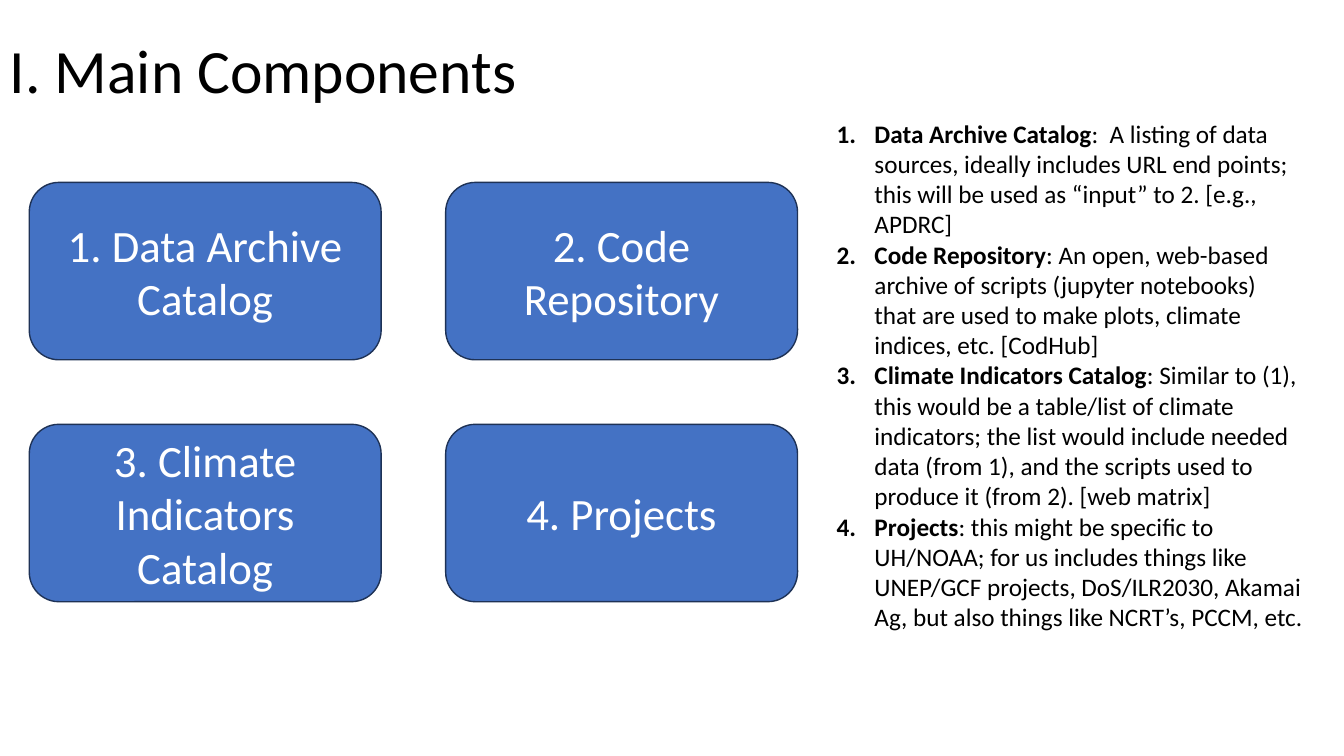
from lxml.etree import SubElement
from pptx import Presentation
from pptx.dml.color import RGBColor
from pptx.enum.shapes import MSO_SHAPE as Shape
from pptx.enum.text import MSO_ANCHOR as Anchor, PP_ALIGN as Align
from pptx.oxml.ns import qn
from pptx.util import Inches, Pt

FONT = "Calibri"
COMPONENTS = [
    ("Data Archive Catalog",
     ":  A listing of data sources, ideally includes URL end points; "
     "this will be used as “input” to 2. [e.g., APDRC]"),
    ("Code Repository",
     ": An open, web-based archive of scripts (jupyter notebooks) that are used "
     "to make plots, climate indices, etc. [CodHub]"),
    ("Climate Indicators Catalog",
     ": Similar to (1), this would be a table/list of climate indicators; the list "
     "would include needed data (from 1), and the scripts used to produce it "
     "(from 2). [web matrix]"),
    ("Projects",
     ": this might be specific to UH/NOAA; for us includes things like UNEP/GCF "
     "projects, DoS/ILR2030, Akamai Ag, but also things like NCRT’s, PCCM, etc."),
]


def color(value):
    return RGBColor.from_string(value)


def format_run(run, size, value, bold=False):
    run.font.name = FONT
    run.font.size = Pt(size)
    run.font.bold = bold
    run.font.color.rgb = color(value)


def add_title(slide, left, top, width, height):
    box = slide.shapes.add_textbox(Inches(left), Inches(top), Inches(width), Inches(height))
    frame = box.text_frame
    frame.word_wrap = True
    frame.vertical_anchor = Anchor.MIDDLE
    frame.text = "I. Main Components"
    paragraph = frame.paragraphs[0]
    paragraph.line_spacing = 0.9
    format_run(paragraph.runs[0], 44, "000000")


def add_component_grid(slide, left, top, width, height, gap=0.64, columns=2):
    rows = len(COMPONENTS) // columns
    card_width = (width - gap * (columns - 1)) / columns
    card_height = (height - gap * (rows - 1)) / rows
    for index, (name, _) in enumerate(COMPONENTS):
        row, column = divmod(index, columns)
        card = slide.shapes.add_shape(
            Shape.ROUNDED_RECTANGLE,
            Inches(left + column * (card_width + gap)),
            Inches(top + row * (card_height + gap)),
            Inches(card_width), Inches(card_height))
        card.shadow.inherit = False
        card.fill.solid()
        card.fill.fore_color.rgb = color("4472C4")
        card.line.color.rgb = color("1E3256")
        card.line.width = Pt(1)
        frame = card.text_frame
        frame.word_wrap = True
        frame.vertical_anchor = Anchor.MIDDLE
        frame.text = f"{index + 1}. {name}"
        paragraph = frame.paragraphs[0]
        paragraph.alignment = Align.CENTER
        format_run(paragraph.runs[0], 32, "FFFFFF")


def number_paragraph(paragraph, indent):
    properties = paragraph._p.get_or_add_pPr()
    properties.set("marL", str(Inches(indent)))
    properties.set("indent", str(-Inches(indent)))
    SubElement(properties, qn("a:buFont"), typeface="+mj-lt")
    SubElement(properties, qn("a:buAutoNum"), type="arabicPeriod")


def add_descriptions(slide, left, top, width, height):
    box = slide.shapes.add_textbox(Inches(left), Inches(top), Inches(width), Inches(height))
    frame = box.text_frame
    frame.word_wrap = True
    for index, (name, description) in enumerate(COMPONENTS):
        paragraph = frame.add_paragraph() if index else frame.paragraphs[0]
        number_paragraph(paragraph, 0.375)
        for text, bold in ((name, True), (description, False)):
            run = paragraph.add_run()
            run.text = text
            format_run(run, 18, "000000", bold)


def main():
    presentation = Presentation()
    presentation.slide_width = Inches(13.33)
    presentation.slide_height = Inches(7.5)
    slide = presentation.slides.add_slide(presentation.slide_layouts[6])
    add_component_grid(slide, 0.29, 1.81, 7.62, 4.16)
    add_title(slide, 0, 0, 11.5, 1.45)
    add_descriptions(slide, 8.2, 1.12, 4.83, 5.25)
    presentation.save("out.pptx")


if __name__ == "__main__":
    main()
